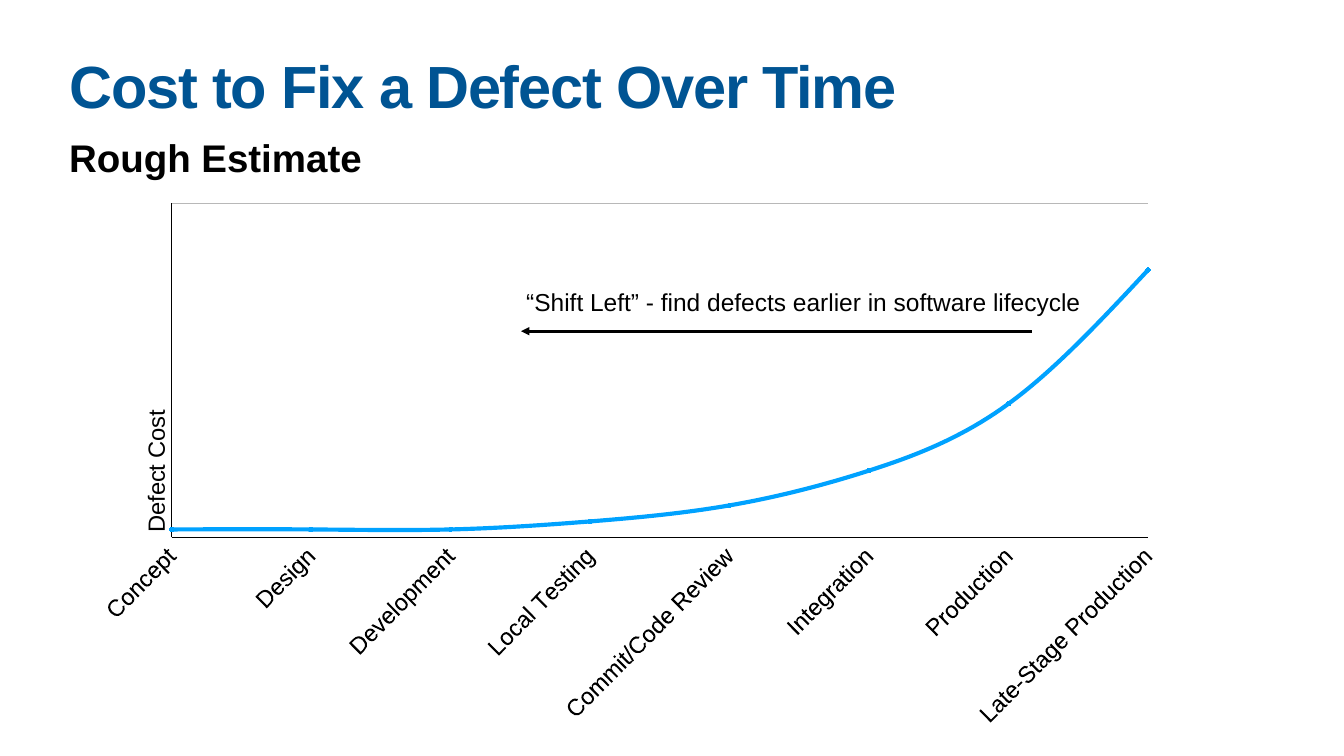
from lxml import etree
from pptx import Presentation
from pptx.chart.data import CategoryChartData
from pptx.dml.color import RGBColor
from pptx.enum.chart import XL_CHART_TYPE as ChartType, XL_MARKER_STYLE as Marker
from pptx.enum.chart import XL_TICK_LABEL_POSITION as LabelPos, XL_TICK_MARK as TickMark
from pptx.enum.shapes import MSO_CONNECTOR as Connector
from pptx.enum.text import MSO_ANCHOR as Anchor, MSO_AUTO_SIZE as AutoSize, PP_ALIGN as Align
from pptx.oxml import parse_xml
from pptx.oxml.ns import nsdecls, qn
from pptx.util import Cm, Pt

NAVY = RGBColor(0x00, 0x54, 0x93)
BLACK = RGBColor(0x00, 0x00, 0x00)
WHITE = RGBColor(0xFF, 0xFF, 0xFF)
SKY = RGBColor(0x00, 0xA2, 0xFF)
GREY = RGBColor(0xB8, 0xB8, 0xB8)
FONT = "Arial"

COSTS = {
    "Concept": 3, "Design": 3, "Development": 3, "Local Testing": 6,
    "Commit/Code Review": 12, "Integration": 25, "Production": 50,
    "Late-Stage Production": 100,
}


def set_all(target, values):
    """Set every attribute in a dict of format values."""
    for name, value in values.items():
        setattr(target, name, value)


def style_font(font, size, color=BLACK, bold=False):
    """Give a font its face, size, weight and colour."""
    set_all(font, {"name": FONT, "size": Pt(size), "bold": bold})
    font.color.rgb = color


def style_line(line, color, width):
    """Give a line its colour and width."""
    line.color.rgb = color
    line.width = Pt(width)


def write_text(holder, text, box, size, color=BLACK, bold=False, inset=0.15,
               align=Align.LEFT, **frame_format):
    """Place a text holder and fill it with one styled paragraph."""
    set_all(holder, dict(zip(("left", "top", "width", "height"), map(Cm, box))))
    frame = holder.text_frame
    margins = dict.fromkeys(
        ("margin_left", "margin_top", "margin_right", "margin_bottom"), Cm(inset))
    set_all(frame, {"word_wrap": True, "auto_size": AutoSize.NONE,
                    "vertical_anchor": Anchor.TOP, **margins, **frame_format})
    paragraph = frame.paragraphs[0]
    paragraph.alignment = align
    run = paragraph.add_run()
    run.text = text
    style_font(run.font, size, color, bold)
    return paragraph


def add_title(slide, text):
    """Fill the title placeholder with tightly set text."""
    paragraph = write_text(slide.shapes.title, text, (3.35, 3, 61.04, 3.99), 85, NAVY, True)
    paragraph.line_spacing = 0.8
    paragraph.runs[0].font._element.set("spc", "-170")


def add_label(slide, text, box, size, **text_format):
    """Add a text box."""
    write_text(slide.shapes.add_textbox(0, 0, 0, 0), text, box, size, **text_format)


def add_arrow(slide, start, end, y):
    """Add a horizontal arrow that points to its end."""
    arrow = slide.shapes.add_connector(Connector.STRAIGHT, Cm(start), Cm(y), Cm(end), Cm(y))
    style_line(arrow.line, BLACK, 4)
    etree.SubElement(arrow.line._get_or_add_ln(), qn("a:tailEnd"), type="triangle")
    etree.SubElement(arrow._element.spPr, qn("a:effectLst"))


def manual_layout(x, y, size=None):
    """Return a chart layout given in fractions of the chart."""
    parts = [("xMode", "edge"), ("yMode", "edge"), ("x", x), ("y", y)]
    if size:
        parts = [("layoutTarget", "inner"), *parts, ("w", size[0]), ("h", size[1])]
    body = "".join(f'<c:{tag} val="{value}"/>' for tag, value in parts)
    return parse_xml(f'<c:layout {nsdecls("c")}><c:manualLayout>{body}</c:manualLayout></c:layout>')


def place(element, layout):
    """Replace the layout of a plot area or axis title."""
    for old in element.findall(qn("c:layout")):
        element.remove(old)
    text = element.find(qn("c:tx"))
    element.insert(0 if text is None else 1, layout)


def style_axis(axis, **axis_format):
    """Give an axis its line, font and settings without tick marks."""
    set_all(axis, {"major_tick_mark": TickMark.NONE, "minor_tick_mark": TickMark.NONE,
                   **axis_format})
    style_font(axis.tick_labels.font, 34)
    style_line(axis.format.line, BLACK, 1)


def start_on_axis(axis):
    """Let the curve start on the value axis instead of half a step after it."""
    for old in axis._element.findall(qn("c:crossBetween")):
        axis._element.remove(old)
    crossing = parse_xml(f'<c:crossBetween {nsdecls("c")} val="midCat"/>')
    axis._element.find(qn("c:crosses")).addnext(crossing)


def style_cost_axis(axis, title):
    """Set up the unlabelled value axis and its vertical title."""
    style_axis(axis, minimum_scale=0, maximum_scale=125, major_unit=125,
               has_major_gridlines=True, tick_label_position=LabelPos.NONE)
    style_line(axis.major_gridlines.format.line, GREY, 1)
    frame = axis.axis_title.text_frame
    frame.text = title
    style_font(frame.paragraphs[0].runs[0].font, 34)
    frame._txBody.find(qn("a:bodyPr")).set("rot", "-5400000")
    place(axis.axis_title._element, manual_layout(0.02, 0.4))
    start_on_axis(axis)


def style_curve(series):
    """Draw a series as a smooth line with small round markers."""
    series.smooth = True
    style_line(series.format.line, SKY, 6)
    set_all(series.marker, {"style": Marker.CIRCLE, "size": 6})
    series.marker.format.fill.solid()
    series.marker.format.fill.fore_color.rgb = WHITE
    style_line(series.marker.format.line, SKY, 6)


def add_cost_chart(slide, box):
    """Add the line chart of defect cost by lifecycle stage."""
    data = CategoryChartData()
    data.categories = list(COSTS)
    data.add_series("Series 1", list(COSTS.values()))
    chart = slide.shapes.add_chart(ChartType.LINE_MARKERS, *map(Cm, box), data).chart
    set_all(chart, {"has_legend": False, "has_title": False})
    style_font(chart.font, 10)
    stages = chart.category_axis
    style_axis(stages, tick_label_position=LabelPos.LOW, has_major_gridlines=False)
    stages._element.find(qn("c:txPr")).find(qn("a:bodyPr")).set("rot", "-2700000")
    style_cost_axis(chart.value_axis, "Defect Cost")
    plot = chart.plots[0]
    plot.vary_by_categories = False
    style_curve(plot.series[0])
    place(chart._chartSpace.chart.plotArea, manual_layout(0.051, 0.048, (0.865, 0.585)))


def main():
    """Build the slide and save it."""
    deck = Presentation()
    set_all(deck, {"slide_width": Cm(67.74), "slide_height": Cm(38.1)})
    slide = deck.slides.add_slide(deck.slide_layouts[5])
    add_title(slide, "Cost to Fix a Defect Over Time")
    add_label(slide, "Rough Estimate", (3.35, 6.6, 61.04, 2.59), 55, bold=True, inset=0.13)
    add_cost_chart(slide, (5.08, 8.86, 57.56, 28.8))
    add_label(slide, "“Shift Left” - find defects earlier in software lifecycle",
              (26.06, 14.35, 28.88, 1.7), 35, align=Align.CENTER, word_wrap=False,
              auto_size=AutoSize.SHAPE_TO_FIT_TEXT, vertical_anchor=Anchor.MIDDLE)
    add_arrow(slide, 51.99, 26.26, 16.69)
    deck.save("out.pptx")


if __name__ == "__main__":
    main()
